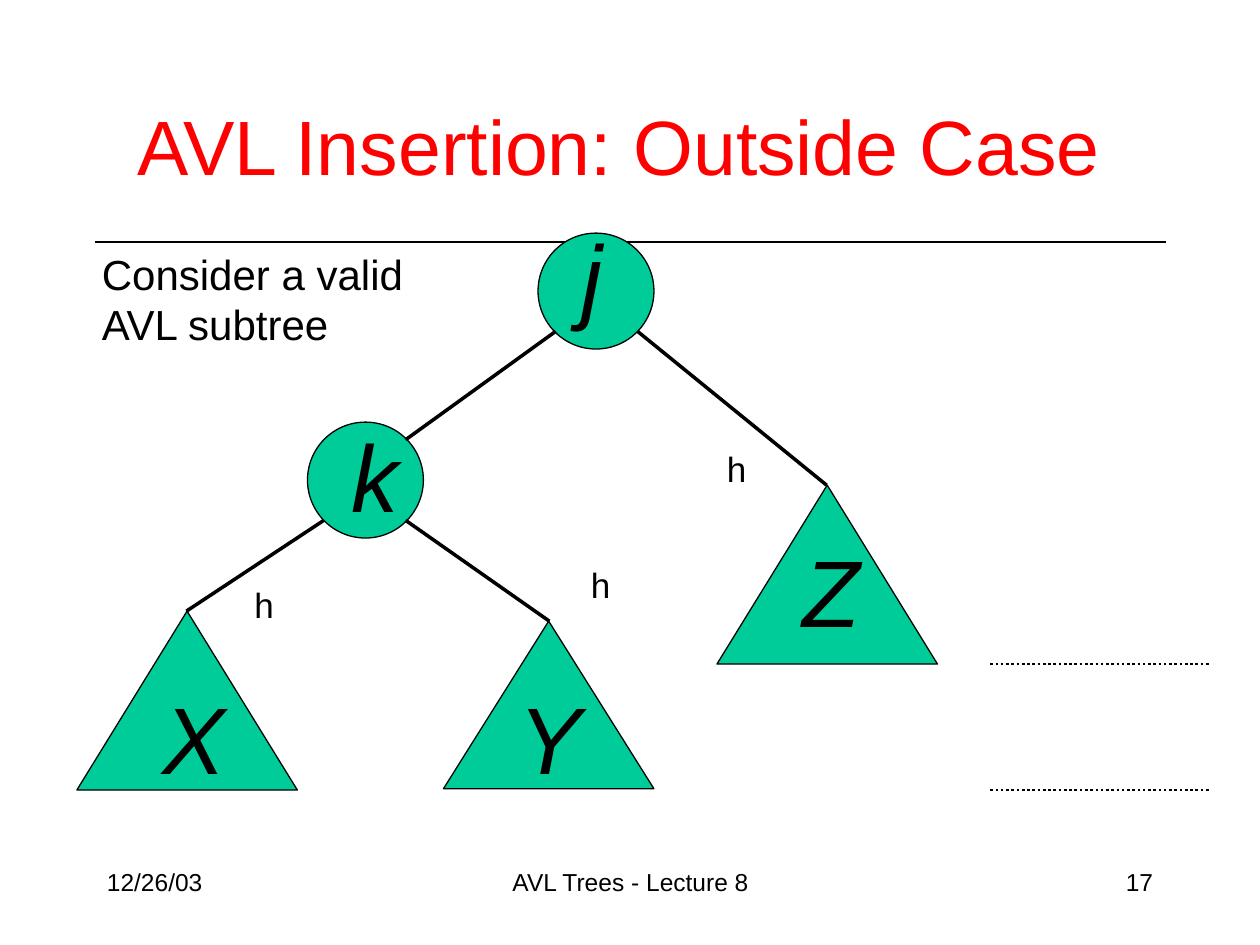
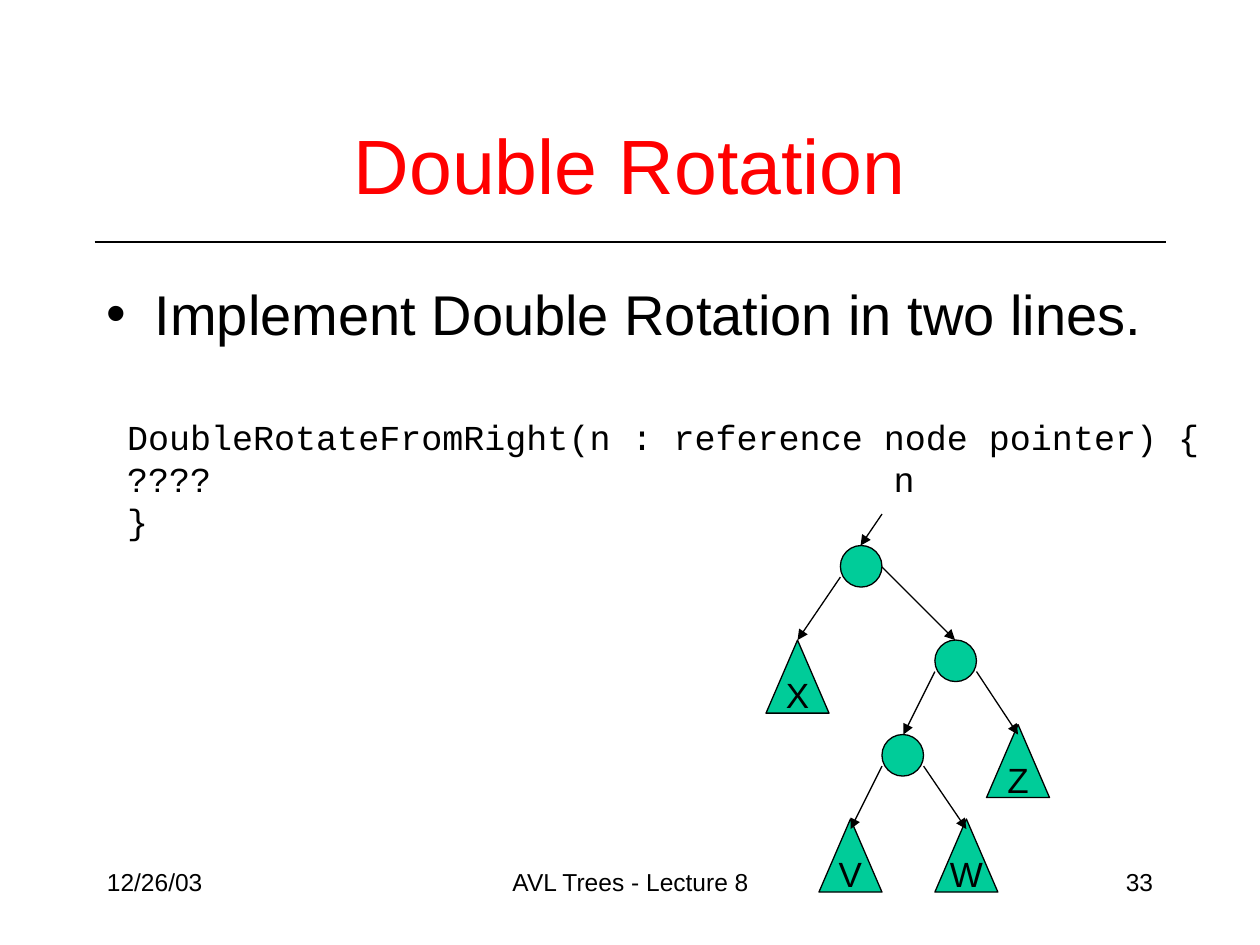
from lxml import etree
from pptx import Presentation
from pptx.dml.color import RGBColor
from pptx.enum import dml, shapes, text
from pptx.oxml import ns
from pptx.util import Inches, Pt

BLACK = RGBColor(0x00, 0x00, 0x00)
RED = RGBColor(0xFF, 0x00, 0x00)
GREEN = RGBColor(0x00, 0xCC, 0x99)
WHITE = RGBColor(0xFF, 0xFF, 0xFF)
LEFT, CENTER, RIGHT = text.PP_ALIGN.LEFT, text.PP_ALIGN.CENTER, text.PP_ALIGN.RIGHT
TOP, MIDDLE = text.MSO_ANCHOR.TOP, text.MSO_ANCHOR.MIDDLE
CIRCLE = shapes.MSO_SHAPE.OVAL
TRIANGLE = shapes.MSO_SHAPE.ISOSCELES_TRIANGLE


def write(box, lines, size, color=BLACK, align=LEFT, anchor=TOP, wrap=True, **font):
    """Fill a shape with one paragraph per line, spaced at 1.2 times the text size."""
    frame = box.text_frame
    frame_format = {"auto_size": text.MSO_AUTO_SIZE.NONE, "word_wrap": wrap,
                    "vertical_anchor": anchor,
                    "margin_left": Inches(0.1), "margin_right": Inches(0.1),
                    "margin_top": Inches(0.05), "margin_bottom": Inches(0.05)}
    for name, value in frame_format.items():
        setattr(frame, name, value)
    for index, line in enumerate(lines):
        para = frame.add_paragraph() if index else frame.paragraphs[0]
        para.alignment = align
        para.line_spacing = Pt(1.2 * size)
        para.space_before = Pt(0)
        span = para.add_run()
        span.text = line
        for name, value in {"name": "Arial", "size": Pt(size), **font}.items():
            setattr(span.font, name, value)
        span.font.color.rgb = color


def draw_line(page, ends, width, dash=None, arrow=False):
    line = page.shapes.add_connector(shapes.MSO_CONNECTOR.STRAIGHT, *map(Inches, ends))
    line.line.color.rgb = BLACK
    line.line.width = Pt(width)
    if dash:
        line.line.dash_style = dash
    if arrow:
        etree.SubElement(line.line._get_or_add_ln(), ns.qn("a:tailEnd"), type="triangle")
    etree.SubElement(line._element.spPr, ns.qn("a:effectLst"))


deck = Presentation()
deck.slide_width, deck.slide_height = Inches(10), Inches(7.5)

# Title, rule and footer of each slide
headings = [
    ("AVL Insertion: Outside Case ", (0.73, 0.71, 8.54, 0.88), "17"),
    ("Double Rotation", (0.75, 0.67, 8.5, 1.25), "33"),
]
pages = []
for heading, place, number in headings:
    page = deck.slides.add_slide(deck.slide_layouts[5])
    page.background.fill.solid()
    page.background.fill.fore_color.rgb = WHITE
    title = page.shapes.title
    title.left, title.top, title.width, title.height = map(Inches, place)
    write(title, [heading], 44, RED, CENTER, MIDDLE)
    draw_line(page, (0.75, 1.92, 9.25, 1.92), 0.75)
    footers = [("12/26/03", 0.75, 2.08, LEFT),
               ("AVL Trees - Lecture 8", 3.42, 3.17, CENTER),
               (number, 7.17, 2.08, RIGHT)]
    for words, left, width, align in footers:
        box = page.shapes.add_textbox(Inches(left), Inches(6.83), Inches(width), Inches(0.5))
        write(box, [words], 14, align=align)
    pages.append(page)
insertion, rotation = pages

# Tree nodes of both slides
big_circle, big_triangle = (CIRCLE, 0.92, 0.92), (TRIANGLE, 1.75, 1.42)
small_circle, small_triangle = (CIRCLE, 0.33, 0.33), (TRIANGLE, 0.5, 0.58)
nodes = [
    (insertion, big_circle, 4.27, 1.85, ""),
    (insertion, big_circle, 2.44, 3.35, ""),
    (insertion, big_triangle, 0.61, 4.85, ""),
    (insertion, (TRIANGLE, 1.67, 1.33), 3.52, 4.93, ""),
    (insertion, big_triangle, 5.69, 3.85, ""),
    (rotation, small_circle, 6.67, 4.33, ""),
    (rotation, small_circle, 7.42, 5.08, ""),
    (rotation, small_circle, 7, 5.83, ""),
    (rotation, small_triangle, 6.08, 5.08, "X"),
    (rotation, small_triangle, 7.83, 5.75, "Z"),
    (rotation, small_triangle, 6.5, 6.5, "V"),
    (rotation, small_triangle, 7.42, 6.5, "W"),
]
for page, (kind, width, height), left, top, label in nodes:
    node = page.shapes.add_shape(kind, *map(Inches, (left, top, width, height)))
    node.shadow.inherit = False
    node.fill.solid()
    node.fill.fore_color.rgb = GREEN
    node.line.color.rgb = BLACK
    node.line.width = Pt(0.75)
    if label:
        write(node, [label], 20, align=CENTER, anchor=MIDDLE, wrap=False)

# Insertion: node names, branches, levels and heights
for name, left, top in [("j", 4.52, 1.68), ("k", 2.69, 3.27), ("X", 1.19, 5.35),
                        ("Y", 4.02, 5.35), ("Z", 6.27, 4.18)]:
    box = insertion.shapes.add_textbox(Inches(left), Inches(top), Inches(0.56), Inches(1))
    write(box, [name], 54, italic=True)
for branch in [(4.41, 2.63, 3.22, 3.49), (5.06, 2.63, 6.56, 3.85),
               (2.57, 4.13, 1.48, 4.85), (3.22, 4.13, 4.36, 4.93)]:
    draw_line(insertion, branch, 2)
for level in (5.27, 6.27):
    draw_line(insertion, (7.86, level, 9.61, level), 1.5, dml.MSO_LINE.ROUND_DOT)
intro = insertion.shapes.add_textbox(Inches(0.71), Inches(1.92), Inches(2.59), Inches(0.9))
write(intro, ["Consider a valid", "AVL subtree"], 24, wrap=False)

# Small letters beside the branches of both trees
for page, letter, left, top in [(insertion, "h", 5.67, 3.5), (insertion, "h", 1.92, 4.58),
                                (insertion, "h", 4.59, 4.42), (rotation, "n", 7, 3.58)]:
    box = page.shapes.add_textbox(Inches(left), Inches(top), Inches(0.35), Inches(0.44))
    write(box, [letter], 20, wrap=False)

# Rotation: task, code and pointers
task = rotation.shapes.add_textbox(Inches(0.75), Inches(2.17), Inches(8.5), Inches(0.75))
bullet_format = task.text_frame.paragraphs[0]._p.get_or_add_pPr()
bullet_format.set("marL", str(Inches(0.38)))
bullet_format.set("indent", str(-Inches(0.38)))
etree.SubElement(bullet_format, ns.qn("a:buFont"), typeface="Arial")
etree.SubElement(bullet_format, ns.qn("a:buChar"), char="•")
write(task, ["Implement Double Rotation in two lines."], 32)

code = rotation.shapes.add_textbox(Inches(0.91), Inches(3.25), Inches(8.72), Inches(1.1))
write(code, ["DoubleRotateFromRight(n : reference node pointer) {", "????", "}"], 20,
      wrap=False, name="Courier New")

for pointer in [(7, 4.08, 6.83, 4.33), (6.67, 4.58, 6.33, 5.08), (7, 4.5, 7.58, 5.08),
                (7.42, 5.33, 7.17, 5.83), (7.75, 5.33, 8.08, 5.83),
                (7, 6.08, 6.75, 6.58), (7.33, 6.08, 7.67, 6.58)]:
    draw_line(rotation, pointer, 0.75, arrow=True)

deck.save("out.pptx")
